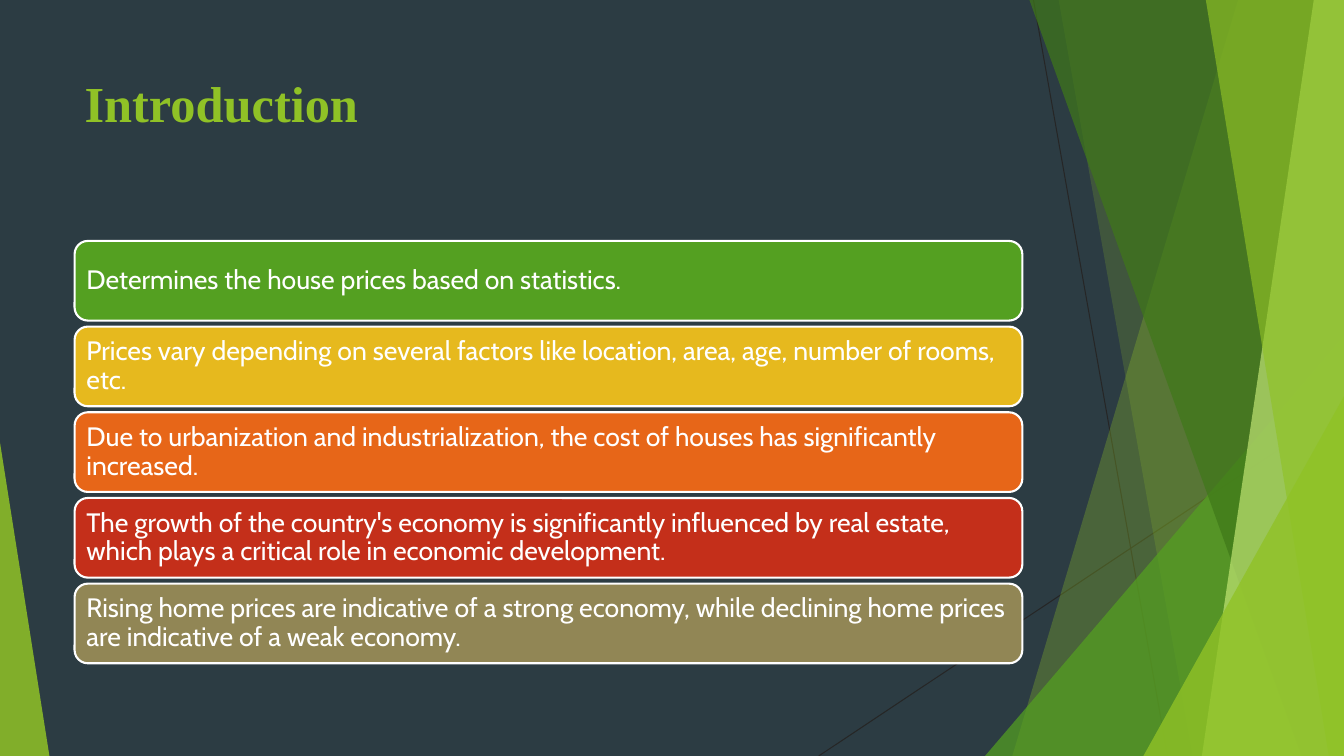
from pptx import Presentation
from pptx.dml.color import RGBColor
from pptx.enum.shapes import MSO_CONNECTOR, MSO_SHAPE
from pptx.enum.text import MSO_ANCHOR, PP_ALIGN
from pptx.oxml.ns import qn
from pptx.util import Inches, Pt
from lxml import etree

LINE = MSO_CONNECTOR.STRAIGHT
WEDGE = MSO_SHAPE.ISOSCELES_TRIANGLE
ROUND = MSO_SHAPE.ROUNDED_RECTANGLE
TOP, MIDDLE = MSO_ANCHOR.TOP, MSO_ANCHOR.MIDDLE
LEFT = PP_ALIGN.LEFT

THEME = {
    "back": "2C3C43", "thread": "262626", "lime": "90C226", "green": "54A021",
    "forest": "3F7819", "pale": "C0E474", "gold": "E6B91E", "orange": "E76618",
    "red": "C42F1A", "khaki": "918655", "white": "FFFFFF",
    "head": "Times New Roman", "body": "Cabin", "big": 36, "text": 19,
}
WIDE, HIGH = 13.33, 7.5
EDGE, SPAN = 0.74, 9.4          # left margin and width of the content column
FIRST, STEP, BAR = 2.39, 0.85, 0.79   # top, pitch and height of the bar rows


def color(name):
    return RGBColor.from_string(THEME[name])


def write(shape, text, font, size, tone="white", bold=False,
          anchor=TOP, inset=(0.1, 0.05), space=1.0):
    frame = shape.text_frame
    frame.word_wrap = True
    frame.vertical_anchor = anchor
    frame.margin_left = frame.margin_right = Inches(inset[0])
    frame.margin_top = frame.margin_bottom = Inches(inset[1])
    para = frame.paragraphs[0]
    para.alignment = LEFT
    para.line_spacing = space
    run = para.add_run()
    run.text = text
    run.font.name = THEME[font]
    run.font.size = Pt(THEME[size])
    run.font.bold = bold
    run.font.color.rgb = color(tone)


deck = Presentation()
deck.slide_width, deck.slide_height = Inches(WIDE), Inches(HIGH)
slide = deck.slides.add_slide(deck.slide_layouts[6])
slide.background.fill.solid()
slide.background.fill.fore_color.rgb = color("back")
shapes = slide.shapes

# Thin threads behind the facets
for ends in [(10.25, 0, 11.58, HIGH), (WIDE, 4.03, 8.12, HIGH)]:
    thread = shapes.add_connector(LINE, *map(Inches, ends))
    thread.line.color.rgb = color("thread")
    thread.line.width = Pt(0.75)
    etree.SubElement(thread._element.spPr, qn("a:effectLst"))

# Facets reach the right edge: x at top, x at bottom, colour, opacity.
# Wedges rise from the bottom: left, width, height, peak, colour, opacity.
facets = [
    (12.28, 10.04, "lime", 30),
    (10.5, 11.83, "lime", 20),
    (9.77, 3.56, 4.17, 1, "green", 72),
    (10.21, 12.91, "forest", 70),
    (13.03, 11.92, "pale", 70),
    (11.96, 13.18, "lime", 65),
    (11.34, 1.99, 3.57, 1, "lime", 80),
    (0, 0.49, 3.11, 0, "lime", 85),
]
for *place, tone, alpha in facets:
    if len(place) == 2:
        top, base = place
        path = shapes.build_freeform(Inches(top), 0)
        corners = [(WIDE, 0), (WIDE, HIGH), (base, HIGH)]
        path.add_line_segments([(Inches(x), Inches(y)) for x, y in corners])
        facet = path.convert_to_shape()
    else:
        left, width, height, peak = place
        facet = shapes.add_shape(WEDGE, Inches(left), Inches(HIGH - height),
                                 Inches(width), Inches(height))
        facet.adjustments[0] = peak
    facet.shadow.inherit = False
    facet.line.fill.background()
    facet.fill.solid()
    facet.fill.fore_color.rgb = color(tone)
    paint = facet._element.spPr.find(qn("a:solidFill"))[0]
    etree.SubElement(paint, qn("a:alpha"), val=str(alpha * 1000))

title = shapes.add_textbox(Inches(EDGE), Inches(0.67), Inches(SPAN), Inches(1.44))
write(title, "Introduction", "head", "big", tone="lime", bold=True)

points = [
    ("green", "Determines the house prices based on statistics."),
    ("gold", "Prices vary depending on several factors like location, area, age, "
             "number of rooms, etc."),
    ("orange", "Due to urbanization and industrialization, the cost of houses has "
               "significantly increased."),
    ("red", "The growth of the country's economy is significantly influenced by "
            "real estate, which plays a critical role in economic development."),
    ("khaki", "Rising home prices are indicative of a strong economy, while "
              "declining home prices are indicative of a weak economy."),
]
for row, (tone, text) in enumerate(points):
    bar = shapes.add_shape(ROUND, Inches(EDGE), Inches(FIRST + row * STEP),
                           Inches(SPAN), Inches(BAR))
    bar.shadow.inherit = False
    bar.fill.solid()
    bar.fill.fore_color.rgb = color(tone)
    bar.line.color.rgb = color("white")
    bar.line.width = Pt(1.5)
    write(bar, text, "body", "text", anchor=MIDDLE, inset=(0.08, 0.08), space=0.9)

deck.save("out.pptx")
